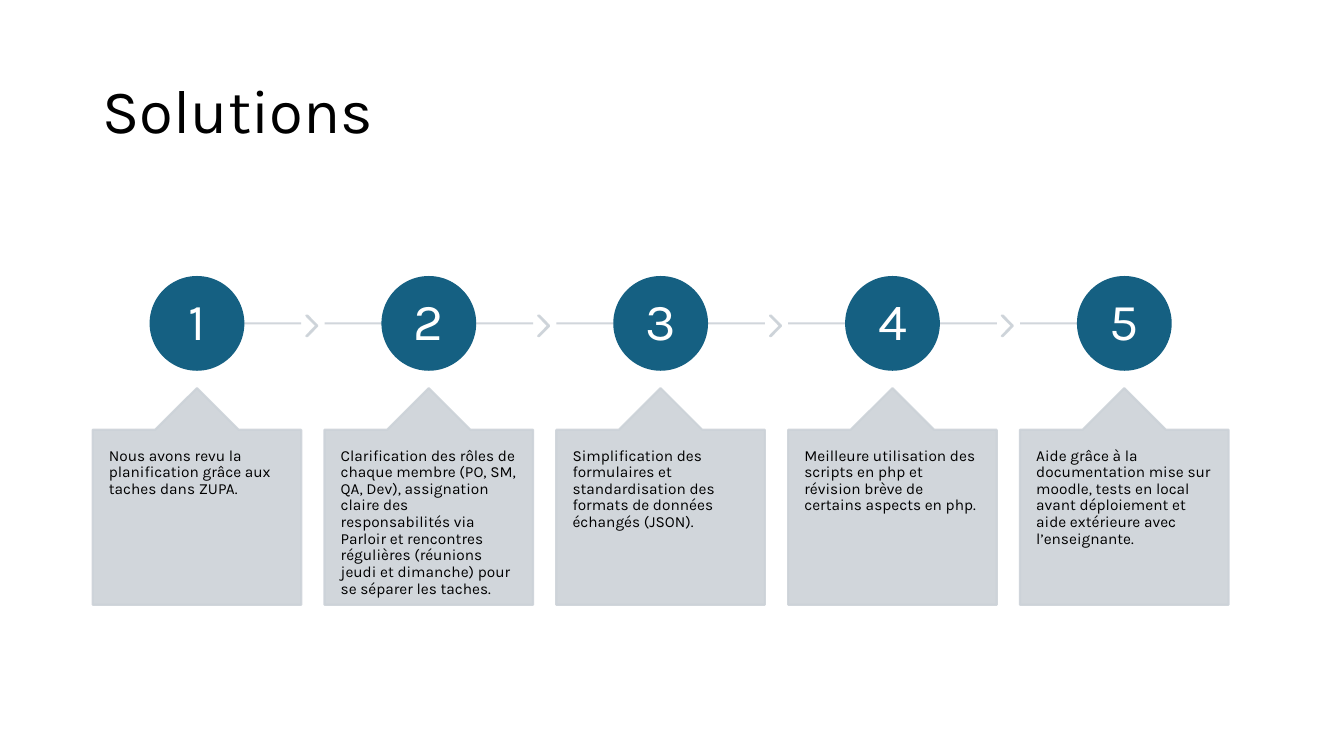
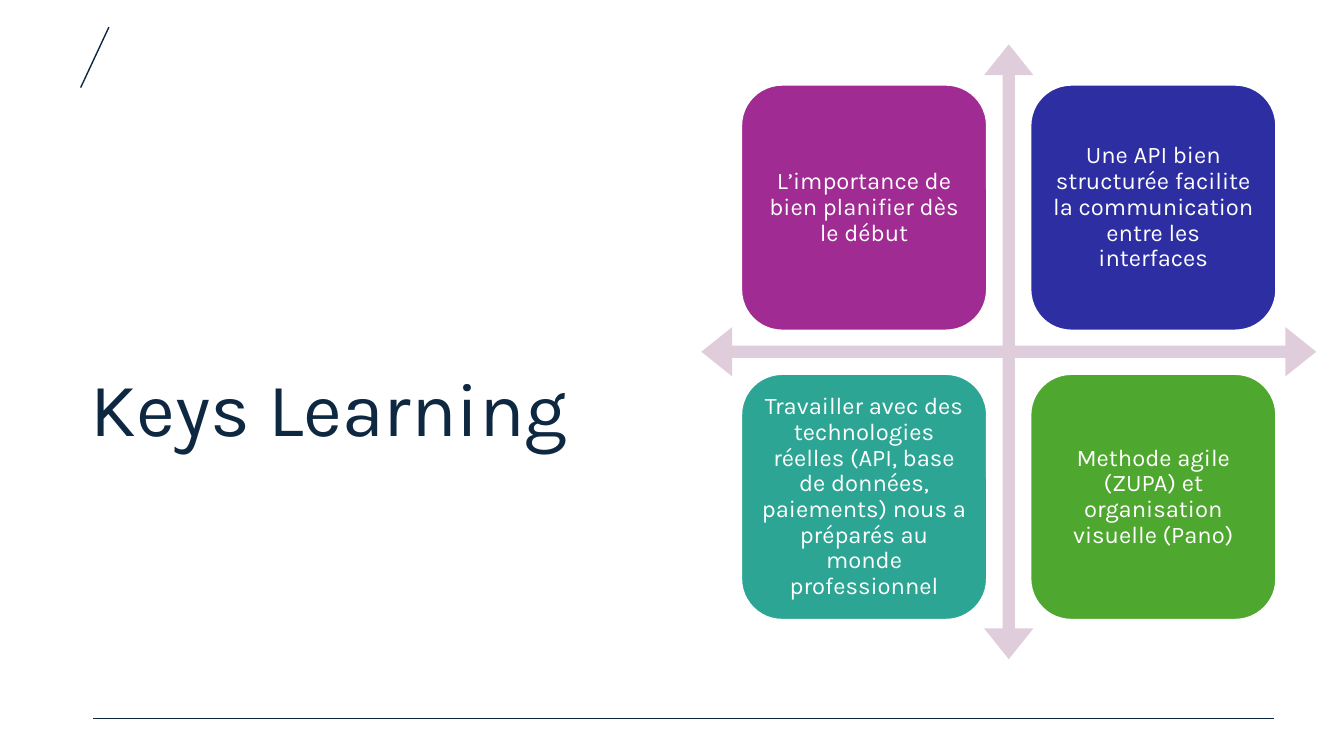
import pptx
import pptx.util
import pptx.dml.color
import pptx.enum.shapes
import pptx.enum.text
import pptx.oxml.ns
from lxml import etree

Pt = pptx.util.Pt
RGB = pptx.dml.color.RGBColor
Kind = pptx.enum.shapes.MSO_SHAPE
Align = pptx.enum.text.PP_ALIGN
Anchor = pptx.enum.text.MSO_ANCHOR
qn = pptx.oxml.ns.qn

FONT = "Karla"
BLACK = RGB(0x00, 0x00, 0x00)
WHITE = RGB(0xFF, 0xFF, 0xFF)
NAVY = RGB(0x0E, 0x28, 0x41)
BLUE = RGB(0x15, 0x60, 0x82)
GREY = RGB(0xCC, 0xD2, 0xD8)
PINK = RGB(0xDF, 0xCD, 0xDC)
PLUM = RGB(0xA0, 0x2B, 0x93)
INDIGO = RGB(0x2C, 0x2E, 0xA2)
TEAL = RGB(0x2D, 0xA5, 0x94)
GREEN = RGB(0x4E, 0xA7, 0x2E)


def write(shape, text, size, color, align, anchor, pads):
    """Put one formatted paragraph in a shape; pads are side and top insets."""
    frame = shape.text_frame
    frame.word_wrap = True
    frame.vertical_anchor = anchor
    frame.margin_left = frame.margin_right = Pt(pads[0])
    frame.margin_top = frame.margin_bottom = Pt(pads[1])
    para = frame.paragraphs[0]
    para.alignment = align
    para.line_spacing = 0.9
    run = para.add_run()
    run.text = text
    run.font.name = FONT
    run.font.size = Pt(size)
    run.font.color.rgb = color


def paint(shape, fill, edge, width=1.5, alpha=None):
    """Fill and outline a shape or connector, without shadow."""
    if fill is None:
        etree.SubElement(shape._element.spPr, qn("a:effectLst"))
    else:
        shape.shadow.inherit = False
        shape.fill.solid()
        shape.fill.fore_color.rgb = fill
    if edge is None:
        shape.line.fill.background()
    else:
        shape.line.color.rgb = edge
        shape.line.width = Pt(width)
    if alpha:
        for clr in shape._element.spPr.iter(qn("a:srgbClr")):
            etree.SubElement(clr, qn("a:alpha"), val=str(alpha * 1000))


deck = pptx.Presentation()
deck.slide_width, deck.slide_height = Pt(960), Pt(540)

# Slides and titles
slides = []
for text, size, color, box in [
    ("Solutions", 44, BLACK, (66.2, 28.8, 828, 104.4)),
    ("Keys Learning", 54, NAVY, (57.6, 92.2, 383.8, 404.6)),
]:
    slide = deck.slides.add_slide(deck.slide_layouts[5])
    title = slide.shapes.title
    title.left, title.top, title.width, title.height = map(Pt, box)
    write(title, text, size, color, Align.LEFT, Anchor.MIDDLE, (7.2, 3.6))
    slides.append(slide)

# Solutions: five numbered steps
shapes = slides[0].shapes
STEPS = [
    "Nous avons revu la planification grâce aux taches dans ZUPA.",
    "Clarification des rôles de chaque membre (PO, SM, QA, Dev), assignation "
    "claire des responsabilités via Parloir et rencontres régulières "
    "(réunions jeudi et dimanche) pour se séparer les taches.",
    "Simplification des formulaires et standardisation des formats de données "
    "échangés (JSON).",
    "Meilleure utilisation des scripts en php et révision brève de certains "
    "aspects en php.",
    "Aide grâce à la documentation mise sur moodle, tests en local avant "
    "déploiement et aide extérieure avec l’enseignante.",
]
WIDE, PITCH, DISC, MID = 149, 165.6, 66.2, 231
for i, step in enumerate(STEPS):
    left = 66.2 + i * PITCH
    center = left + WIDE / 2
    first, last = i == 0, i == len(STEPS) - 1

    # Track, with a chevron towards the next step
    track = shapes.add_connector(
        pptx.enum.shapes.MSO_CONNECTOR.STRAIGHT,
        Pt(center if first else left), Pt(MID),
        Pt(center if last else left + WIDE), Pt(MID))
    paint(track, None, GREY, alpha=90)
    if not last:
        arrow = shapes.add_shape(Kind.CHEVRON, Pt(left + 152.6), Pt(225.4),
                                 Pt(7.9), Pt(14.6))
        arrow.adjustments[0] = 0.9
        paint(arrow, GREY, GREY, alpha=90)

    # Number
    disc = shapes.add_shape(Kind.OVAL, Pt(center - DISC / 2),
                            Pt(MID - DISC / 2), Pt(DISC), Pt(DISC))
    paint(disc, BLUE, BLUE)
    write(disc, str(i + 1), 37, WHITE, Align.CENTER, Anchor.MIDDLE, (2.6, 2.6))

    # Card
    card = shapes.add_shape(Kind.UP_ARROW_CALLOUT, Pt(left), Pt(277.2),
                            Pt(WIDE), Pt(154.8))
    for k, value in enumerate((0.5, 0.2, 0.2, 1)):
        card.adjustments[k] = value
    paint(card, GREY, GREY, alpha=90)
    write(card, step, 11, BLACK, Align.LEFT, Anchor.TOP, (11.6, 12.8))

# Keys Learning: slash and bottom rule
shapes = slides[1].shapes
for ends in [(77.8, 19.4, 57.6, 62.6), (910.1, 513.4, 66.2, 513.4)]:
    rule = shapes.add_connector(pptx.enum.shapes.MSO_CONNECTOR.STRAIGHT,
                                *map(Pt, ends))
    paint(rule, None, NAVY, 1)

# Four-way arrow
cross = shapes.add_shape(Kind.QUAD_ARROW, Pt(501), Pt(31.7),
                         Pt(439.2), Pt(439.2))
for k, value in enumerate((0.02, 0.04, 0.05)):
    cross.adjustments[k] = value
paint(cross, PINK, None)

# Lessons, two by two
LESSONS = [
    (PLUM, "L’importance de bien planifier dès le début"),
    (INDIGO, "Une API bien structurée facilite la communication entre les "
             "interfaces"),
    (TEAL, "Travailler avec des technologies réelles (API, base de données, "
           "paiements) nous a préparés au monde professionnel"),
    (GREEN, "Methode agile (ZUPA) et organisation visuelle (Pano)"),
]
SIDE, STEP = 175.7, 206.6
for i, (color, text) in enumerate(LESSONS):
    row, col = divmod(i, 2)
    tile = shapes.add_shape(Kind.ROUNDED_RECTANGLE, Pt(529.4 + col * STEP),
                            Pt(60.5 + row * STEP), Pt(SIDE), Pt(SIDE))
    paint(tile, color, WHITE)
    write(tile, text, 17, WHITE, Align.CENTER, Anchor.MIDDLE, (5.1, 5.1))

deck.save("out.pptx")
